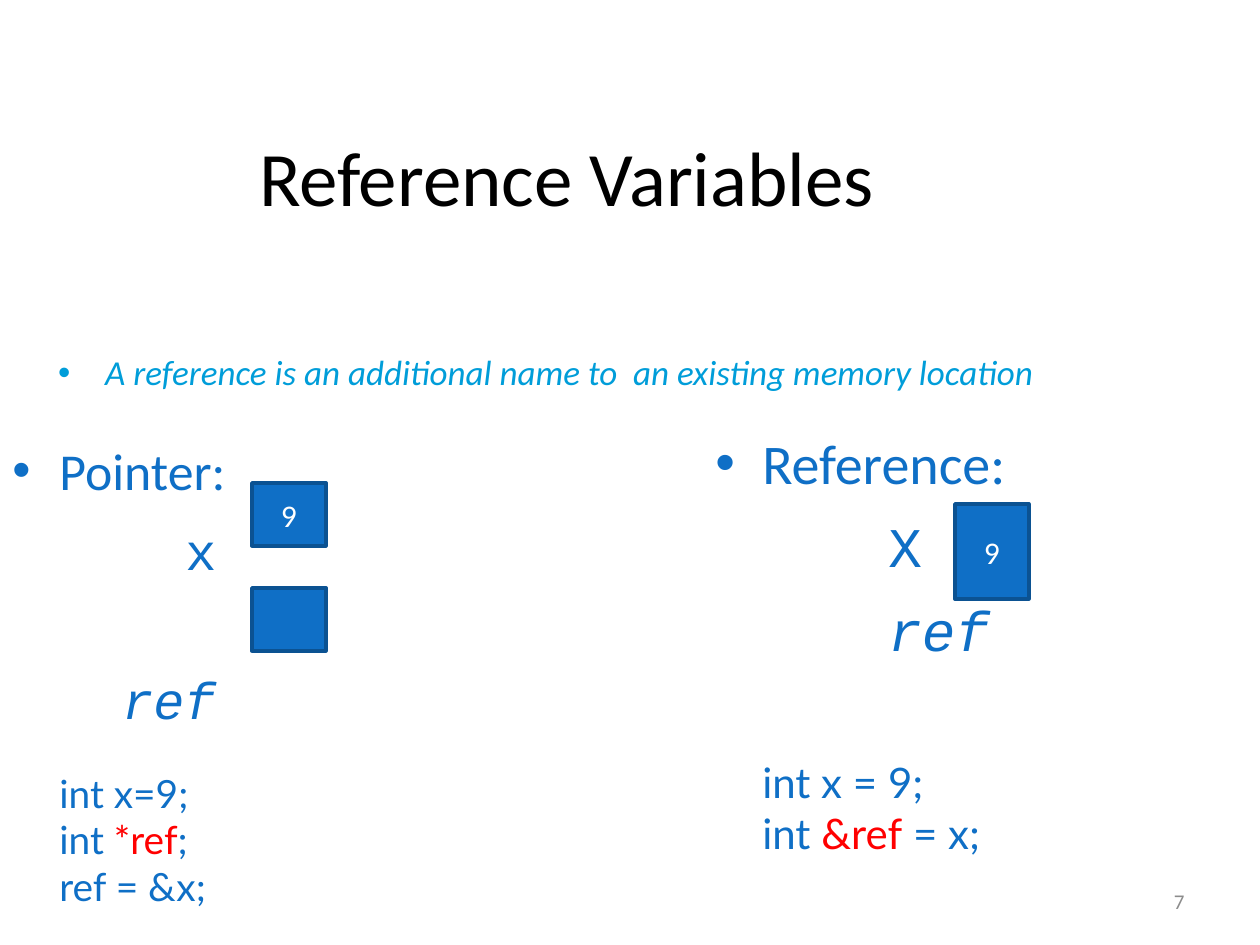
"""Build the slide "Reference Variables", comparing a pointer with a reference."""
from lxml import etree
from pptx import Presentation
from pptx.dml.color import RGBColor
from pptx.enum.shapes import MSO_SHAPE
from pptx.enum.text import MSO_ANCHOR, PP_ALIGN
from pptx.oxml.ns import qn
from pptx.util import Emu, Pt

PX = 914400 // 126
LEFT, CENTER, RIGHT = PP_ALIGN.LEFT, PP_ALIGN.CENTER, PP_ALIGN.RIGHT
TOP, MIDDLE = MSO_ANCHOR.TOP, MSO_ANCHOR.MIDDLE
RECTANGLE = MSO_SHAPE.RECTANGLE
BLUE, EDGE, CYAN, RED = "0F6FC6", "0B5292", "009DD9", "FF0000"
BLACK, GRAY, WHITE = "000000", "8C8C8C", "FFFFFF"
INDENT = 47


def add_span(para, text, size, font, color, italic=False):
    """Append one formatted run."""
    span = para.add_run()
    span.text = text
    span.font.size = Pt(size)
    span.font.name = font
    span.font.italic = italic
    span.font.color.rgb = RGBColor.from_string(color)


def set_indent(para, margin, bullet=False):
    """Set the left margin, with a hanging bullet if wanted."""
    properties = para._p.get_or_add_pPr()
    properties.set("marL", str(margin * PX))
    properties.set("indent", str(-INDENT * PX if bullet else 0))
    if bullet:
        font = etree.SubElement(properties, qn("a:buFont"))
        font.set("typeface", "Arial")
        etree.SubElement(properties, qn("a:buChar")).set("char", "•")


deck = Presentation()
deck.slide_width, deck.slide_height = Emu(1260 * PX), Emu(945 * PX)
page = deck.slides.add_slide(deck.slide_layouts[6])

single_lines = [
    ("7", (903, 876, 294, 50), MIDDLE, RIGHT, 12, GRAY, False, 6),
    ("Reference Variables", (0, 97, 1134, 158), MIDDLE, CENTER, 44, BLACK, False, 6),
    ("A reference is an additional name to  an existing memory location",
     (0, 294, 1092, 91), TOP, CENTER, 20, CYAN, True, 57),
]
for text, place, anchor, align, size, color, bullet, inset in single_lines:
    box = page.shapes.add_textbox(*(Emu(length * PX) for length in place))
    frame = box.text_frame
    frame.word_wrap = True
    frame.vertical_anchor = anchor
    frame.margin_top = Emu(inset * PX)
    para = frame.paragraphs[0]
    para.alignment = align
    if bullet:
        set_indent(para, INDENT, bullet=True)
    add_span(para, text, size, "Calibri", color, italic=bullet)

# Each column: place, heading, heading size, names, code size, gap above code, code
columns = [
    ((0, 431, 557, 441), "Pointer:", 29.6,
     [("x", 173, 18, False), ("ref", 110, 86, True)], 22.2, 40,
     [("int x=9;",), ("int ", "*ref", ";"), ("ref = &x;",)]),
    ((703, 420, 557, 410), "Reference:", 32,
     [("X", 173, 16, False), ("ref", 173, 17, True)], 24, 94,
     [("int x = 9;",), ("int ", "&ref", " = x;")]),
]
for place, heading, size, names, code_size, code_gap, code in columns:
    box = page.shapes.add_textbox(*(Emu(length * PX) for length in place))
    frame = box.text_frame
    frame.word_wrap = True
    frame.margin_top = Emu(8 * PX)
    para = frame.paragraphs[0]
    set_indent(para, INDENT, bullet=True)
    add_span(para, heading, size, "Calibri", BLUE)
    for name, margin, gap, italic in names:
        para = frame.add_paragraph()
        para.space_before = Emu(gap * PX)
        set_indent(para, margin)
        add_span(para, name, size, "Courier New", BLUE, italic)
    for row, parts in enumerate(code):
        para = frame.add_paragraph()
        para.space_before = Emu(0 if row else code_gap * PX)
        set_indent(para, INDENT)
        for part in parts:
            color = RED if part in ("*ref", "&ref") else BLUE
            add_span(para, part, code_size, "Lato", color)

for left, top, height, value in [(252, 483, 63, "9"), (252, 588, 63, ""), (955, 504, 95, "9")]:
    cell = page.shapes.add_shape(
        RECTANGLE, *(Emu(length * PX) for length in (left, top, 74, height)))
    cell.shadow.inherit = False
    cell.fill.solid()
    cell.fill.fore_color.rgb = RGBColor.from_string(BLUE)
    cell.line.color.rgb = RGBColor.from_string(EDGE)
    cell.line.width = Pt(2)
    if value:
        cell.text_frame.vertical_anchor = MIDDLE
        para = cell.text_frame.paragraphs[0]
        para.alignment = CENTER
        add_span(para, value, 18, "Calibri", WHITE)

deck.save("out.pptx")
